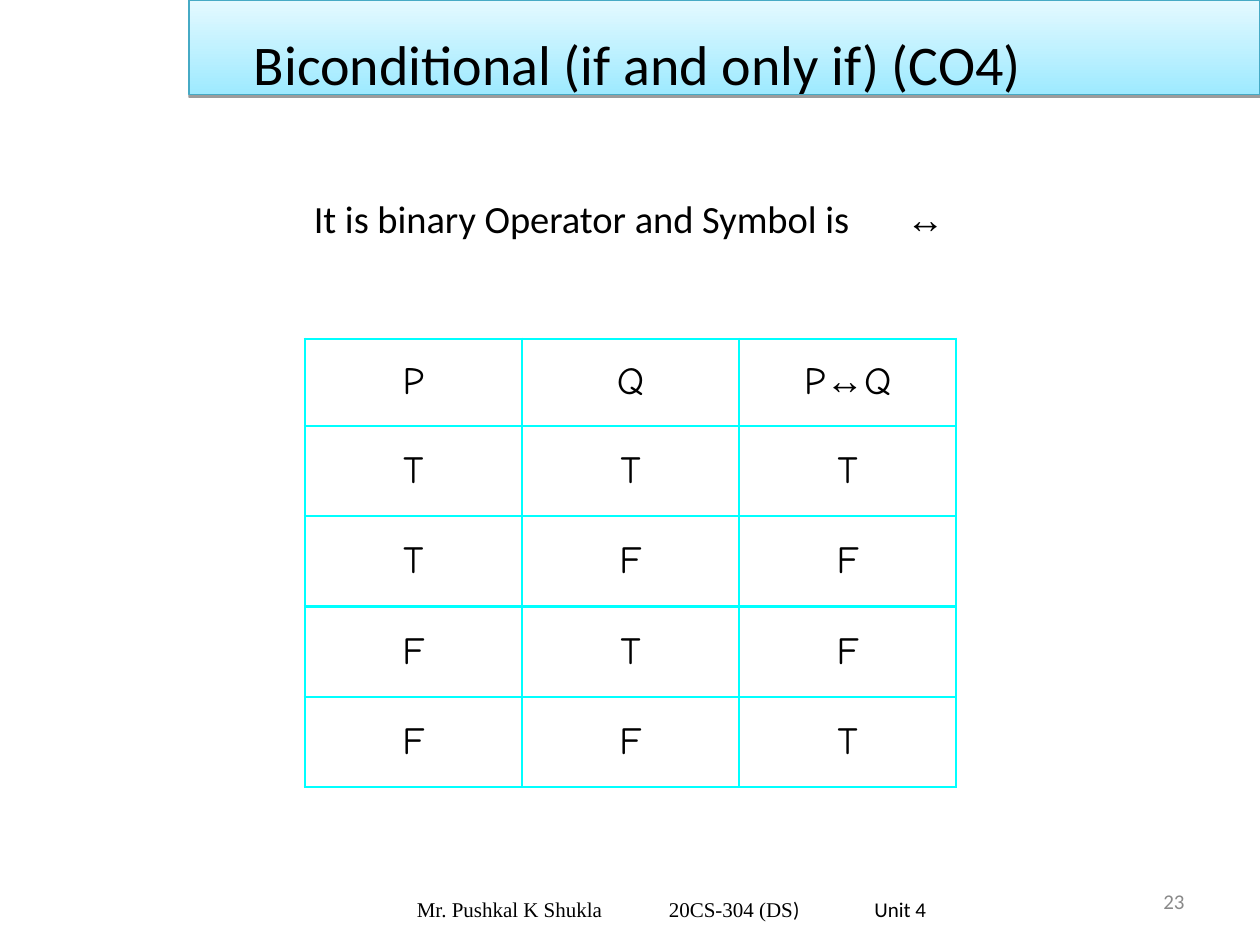
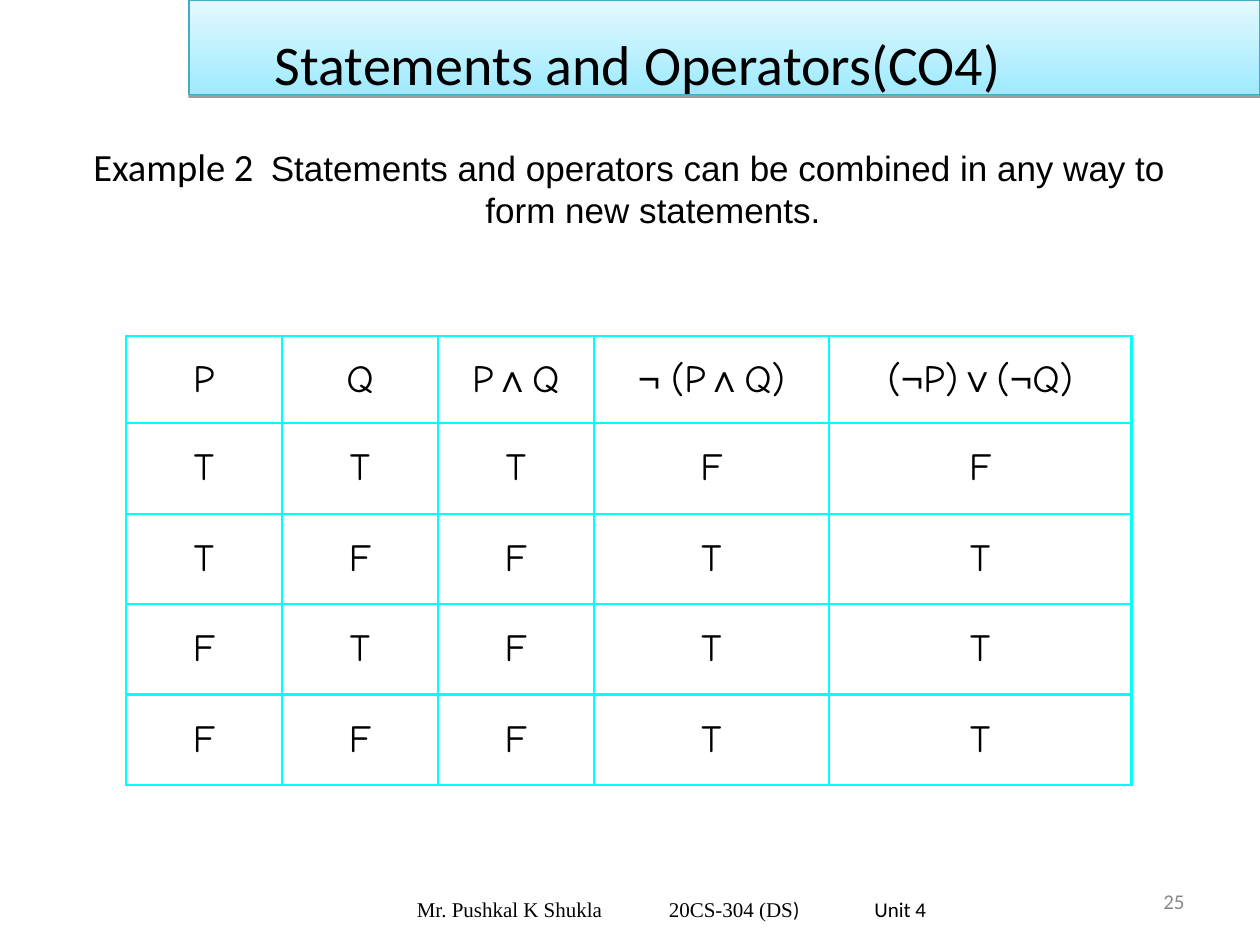
from dataclasses import dataclass
from itertools import groupby

from lxml.etree import SubElement
from pptx import Presentation
from pptx.dml.color import RGBColor
from pptx.enum.shapes import MSO_SHAPE as Shape
from pptx.enum.text import MSO_ANCHOR as Anchor, PP_ALIGN as Align
from pptx.oxml.ns import qn
from pptx.util import Pt


@dataclass(frozen=True)
class Theme:
    text: str = "000000"
    muted: str = "898989"
    band_bottom: str = "9EEAFF"
    band_top: str = "E4F9FF"
    band_line: str = "46AAC5"
    grid: str = "00FFFF"
    body_font: str = "Calibri"
    symbol_font: str = "Arial"
    table_font: str = "Comic Neue"
    footer_font: str = "Times New Roman"
    title_size: float = 32
    title_lead_size: float = 40
    body_size: float = 22
    example_size: float = 20
    footer_size: float = 12
    grid_width: float = 1.47


SYMBOLS = "↔∧∨¬ "
HEADER_HEIGHT, ROW_HEIGHT = 49.7, 51.65


def set_font(font, name, size, color):
    font.name, font.size = name, Pt(size)
    font.color.rgb = RGBColor.from_string(color)


class Deck:
    def __init__(self, theme):
        self.theme = theme
        self.presentation = Presentation()
        self.presentation.slide_width = Pt(720)
        self.presentation.slide_height = Pt(540)
        self.slide = None

    def start_slide(self, title, number):
        theme = self.theme
        layout = self.presentation.slide_layouts[6]
        self.slide = self.presentation.slides.add_slide(layout)
        self.text((516, 500.4, 168, 28.8), [(str(number), theme.body_font, theme.footer_size)],
                  align=Align.RIGHT, color=theme.muted)
        self.band()
        self.text((54, 0, 612, 66), [(" ", theme.body_font, theme.title_lead_size),
                                     (title, theme.body_font, theme.title_size)])

    def band(self):
        band = self.slide.shapes.add_shape(Shape.RECTANGLE, Pt(108), 0, Pt(612), Pt(54))
        band.fill.gradient()
        band.fill.gradient_angle = 90
        colors = (self.theme.band_bottom, self.theme.band_top)
        for stop, color in zip(band.fill.gradient_stops, colors):
            stop.color.rgb = RGBColor.from_string(color)
        band.line.color.rgb = RGBColor.from_string(self.theme.band_line)
        band.line.width = Pt(0.75)
        # Hard shadow under the band
        band.shadow.inherit = False
        effects = band._element.spPr.find(qn("a:effectLst"))
        shadow = SubElement(effects, qn("a:outerShdw"), blurRad="0", dist=str(Pt(1.6)),
                            dir="5400000", rotWithShape="0")
        black = SubElement(shadow, qn("a:srgbClr"), val="000000")
        SubElement(black, qn("a:alpha"), val="38000")

    def text(self, box, runs, align=Align.CENTER, anchor=Anchor.MIDDLE, color=None,
             inset=7.2, before=0, hanging=0, tabs=()):
        frame = self.slide.shapes.add_textbox(*map(Pt, box)).text_frame
        frame.word_wrap = True
        frame.vertical_anchor = anchor
        frame.margin_left = Pt(inset)
        paragraph = frame.paragraphs[0]
        paragraph.alignment = align
        paragraph.space_before = Pt(before)
        properties = paragraph._p.get_or_add_pPr()
        if hanging:
            properties.set("marL", str(Pt(hanging)))
            properties.set("indent", str(-Pt(hanging)))
        if tabs:
            stops = SubElement(properties, qn("a:tabLst"))
            for position in tabs:
                SubElement(stops, qn("a:tab"), pos=str(Pt(position)), algn="l")
        for words, font, size in runs:
            run = paragraph.add_run()
            run.text = words
            set_font(run.font, font, size, color or self.theme.text)
        return paragraph

    def truth_table(self, left, top, widths, rows):
        heights = [HEADER_HEIGHT] + [ROW_HEIGHT] * (len(rows) - 1)
        table = self.slide.shapes.add_table(
            len(rows), len(widths), Pt(left), Pt(top), Pt(sum(widths)), Pt(sum(heights))).table
        table.first_row = table.horz_banding = False
        for column, width in zip(table.columns, widths):
            column.width = Pt(width)
        for row, height, formulas in zip(table.rows, heights, rows):
            row.height = Pt(height)
            for cell, formula in zip(row.cells, formulas):
                self.cell(cell, formula)

    def cell(self, cell, formula):
        theme = self.theme
        cell.margin_left = cell.margin_right = Pt(7.2)
        cell.margin_top = cell.margin_bottom = Pt(3.6)
        cell.vertical_anchor = Anchor.MIDDLE
        for side in ("a:lnL", "a:lnR", "a:lnT", "a:lnB"):
            border = SubElement(cell._tc.get_or_add_tcPr(), qn(side), w=str(Pt(theme.grid_width)))
            SubElement(SubElement(border, qn("a:solidFill")), qn("a:srgbClr"), val=theme.grid)
        cell.fill.background()
        paragraph = cell.text_frame.paragraphs[0]
        paragraph.alignment = Align.CENTER
        paragraph.space_before = Pt(5.5)
        # Operators take the symbol font, letters the table font
        for is_symbol, letters in groupby(formula, lambda letter: letter in SYMBOLS):
            run = paragraph.add_run()
            run.text = "".join(letters)
            set_font(run.font, theme.symbol_font if is_symbol else theme.table_font,
                     theme.body_size, theme.text)
            run.font.bold = run.text == "↔"

    def footer(self):
        theme = self.theme
        self.text((185.8, 505.4, 396, 28.8),
                  [("Mr. Pushkal K Shukla\t20CS-304 (DS", theme.footer_font, theme.footer_size),
                   (")\tUnit 4", theme.body_font, theme.footer_size)],
                  align=Align.LEFT, inset=52.4, tabs=(144, 261.5))


def biconditional(deck):
    theme = deck.theme
    deck.start_slide("Biconditional (if and only if) (CO4)", 23)
    deck.text((41.8, 108, 635.8, 66),
              [("It is binary Operator and Symbol is\t", theme.body_font, theme.body_size),
               ("↔", theme.symbol_font, theme.body_size)],
              align=Align.LEFT, anchor=Anchor.TOP, inset=137.5, before=5.5, tabs=(338.5,))
    deck.truth_table(174.2, 193.6, [124.1] * 3,
                     [["P", "Q", "P↔Q"], "TTT", "TFF", "FTF", "FFT"])
    deck.footer()


def combined_statements(deck):
    theme = deck.theme
    deck.start_slide("Statements and Operators(CO4)", 25)
    example = deck.text(
        (41.8, 78, 635.8, 54),
        [("Example 2", theme.body_font, theme.body_size),
         (" ", theme.body_font, theme.body_size),
         ("Statements and operators can be combined in any way to form new statements.",
          theme.symbol_font, theme.example_size)],
        anchor=Anchor.TOP, before=5, hanging=27)
    # Widen the gap after the example number
    example.runs[1].font._element.set("spc", "500")
    deck.truth_table(72, 192.2, [89.1] * 3 + [134.5, 172.8],
                     [["P", "Q", "P∧Q", "¬ (P∧Q)", "(¬P)∨(¬Q)"],
                      "TTTFF", "TFFTT", "FTFTT", "FFFTT"])
    deck.footer()


def main():
    deck = Deck(Theme())
    biconditional(deck)
    combined_statements(deck)
    deck.presentation.save("out.pptx")


if __name__ == "__main__":
    main()
